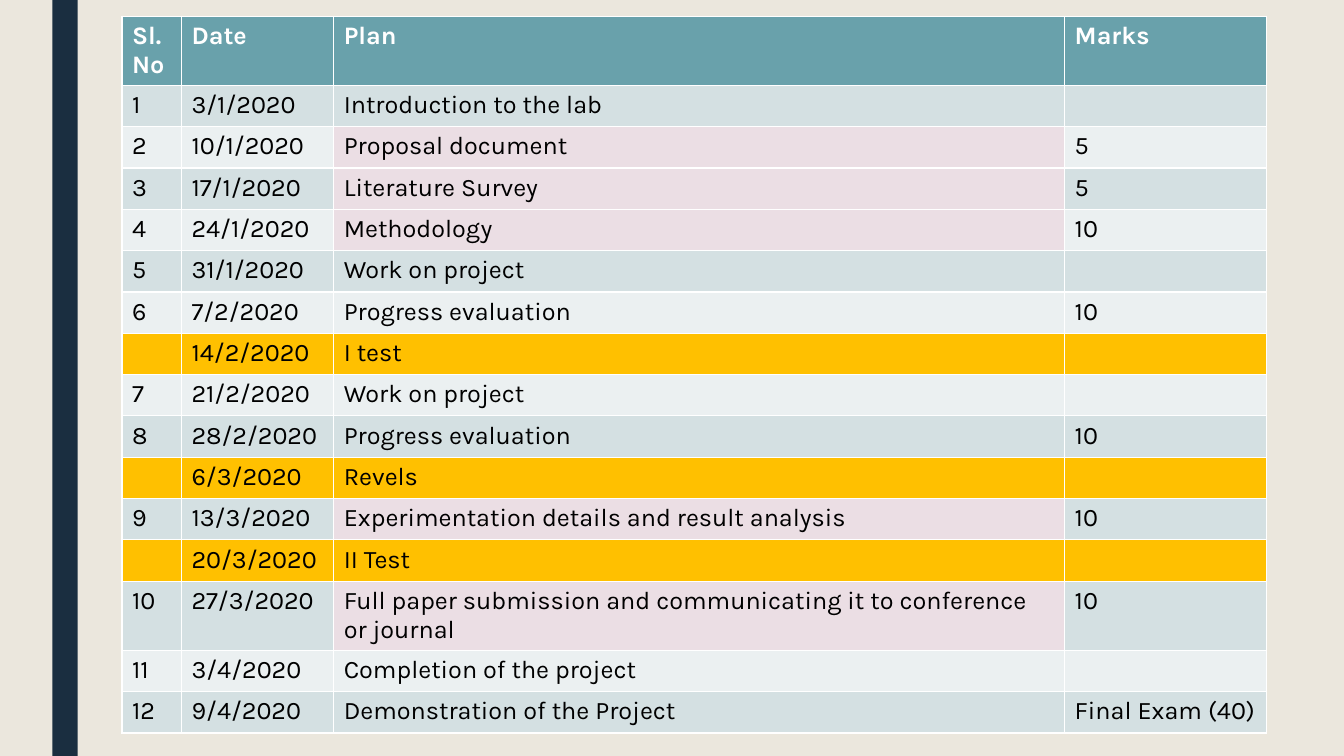
from pptx import Presentation
from pptx import util as u
from pptx.dml.color import RGBColor
from pptx.enum import shapes

SLIDE_HEIGHT = 7.5
HEADER, GRADED, BREAK = "69A1AB", "EBDEE4", "FFC000"
BANDS = ("EBF0F1", "D4E0E2")
COLUMN_WIDTHS = (0.59, 1.51, 7.25, 2)
ROW_HEIGHT = 0.41
PLAN_COLUMN = 2
GRADED_ROWS = {2, 3, 4, 11, 13}

SCHEDULE = (
    ("Sl.No", "Date", "Plan", "Marks"),
    ("1", "3/1/2020", "Introduction to the lab", ""),
    ("2", "10/1/2020", "Proposal document", "5"),
    ("3", "17/1/2020", "Literature Survey", "5"),
    ("4", "24/1/2020", "Methodology", "10"),
    ("5", "31/1/2020", "Work on project", ""),
    ("6", "7/2/2020", "Progress evaluation", "10"),
    ("", "14/2/2020", "I test", ""),
    ("7", "21/2/2020", "Work on project", ""),
    ("8", "28/2/2020", "Progress evaluation", "10"),
    ("", "6/3/2020", "Revels", ""),
    ("9", "13/3/2020", "Experimentation details and result analysis", "10"),
    ("", "20/3/2020", "II Test", ""),
    ("10", "27/3/2020",
     "Full paper submission and communicating it to conference or journal", "10"),
    ("11", "3/4/2020", "Completion of the project", ""),
    ("12", "9/4/2020", "Demonstration of the Project", "Final Exam (40)"),
)


def paint(fill, color):
    fill.solid()
    fill.fore_color.rgb = RGBColor.from_string(color)


def cell_color(row, column):
    if row == 0:
        return HEADER
    if not SCHEDULE[row][0]:
        return BREAK
    if column == PLAN_COLUMN and row in GRADED_ROWS:
        return GRADED
    return BANDS[row % 2]


def add_side_band(slide, left, top, width, height):
    band = slide.shapes.add_shape(
        shapes.MSO_SHAPE.RECTANGLE, *map(u.Inches, (left, top, width, height)))
    band.shadow.inherit = False
    band.line.fill.background()
    paint(band.fill, "1A2E40")


def add_schedule(slide, left, top):
    box = (left, top, sum(COLUMN_WIDTHS), ROW_HEIGHT * len(SCHEDULE))
    schedule = slide.shapes.add_table(
        len(SCHEDULE), len(COLUMN_WIDTHS), *map(u.Inches, box)).table
    for column, width in zip(schedule.columns, COLUMN_WIDTHS):
        column.width = u.Inches(width)
    for row, entries in enumerate(SCHEDULE):
        schedule.rows[row].height = u.Inches(ROW_HEIGHT)
        for column, entry in enumerate(entries):
            cell = schedule.cell(row, column)
            paint(cell.fill, cell_color(row, column))
            cell.text = entry
            font = cell.text_frame.paragraphs[0].font
            font.name = "Karla"
            font.size = u.Pt(18)
            font.bold = row == 0
            font.color.rgb = RGBColor.from_string("000000" if row else "FFFFFF")


def main():
    deck = Presentation()
    deck.slide_width = u.Inches(13.33)
    deck.slide_height = u.Inches(SLIDE_HEIGHT)
    slide = deck.slides.add_slide(deck.slide_layouts[6])
    paint(slide.background.fill, "EBE7DD")
    add_side_band(slide, 0.52, 0, 0.25, SLIDE_HEIGHT)
    add_schedule(slide, 1.21, 0.16)
    deck.save("out.pptx")


if __name__ == "__main__":
    main()
